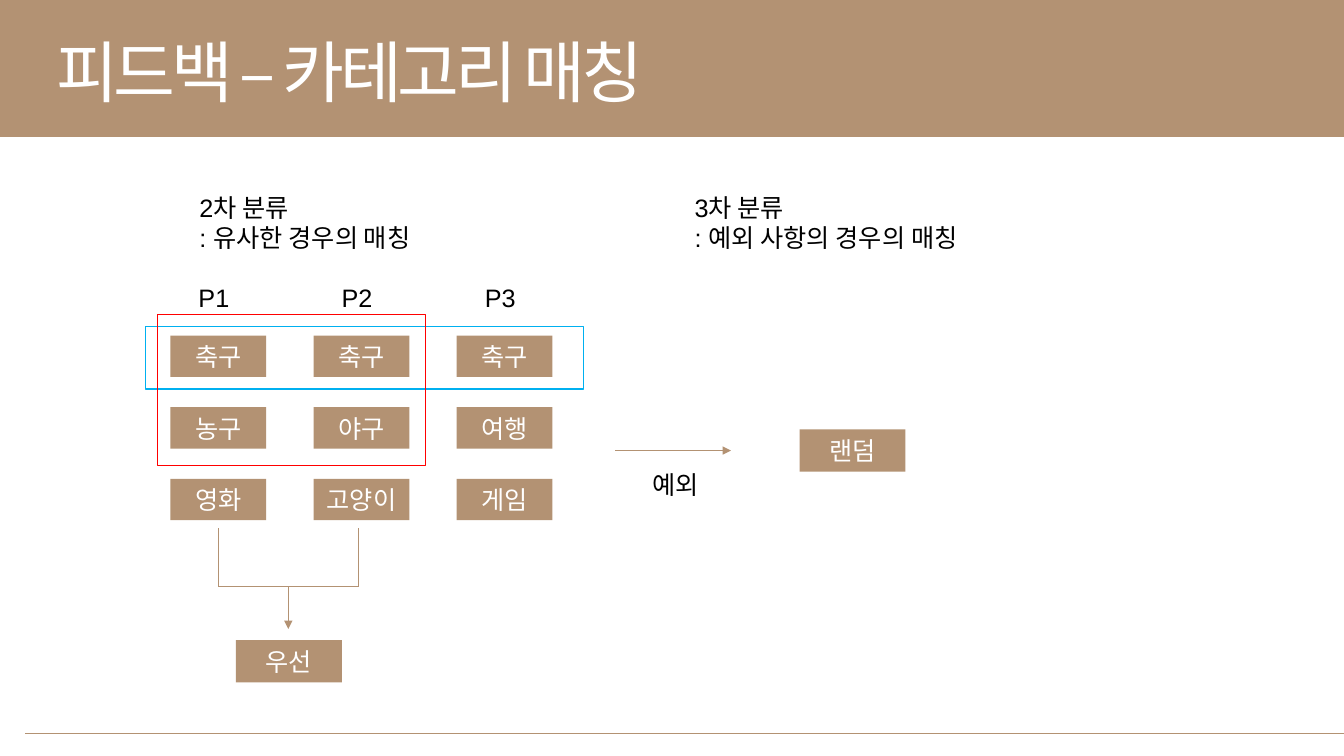
from lxml.etree import SubElement
from pptx import Presentation
from pptx.dml.color import RGBColor
from pptx.enum.shapes import MSO_CONNECTOR, MSO_SHAPE
from pptx.enum.text import MSO_ANCHOR, PP_ALIGN
from pptx.oxml.ns import qn
from pptx.util import Inches, Pt

COLORS = {
    "brown": "B39273",
    "white": "FFFFFF",
    "black": "000000",
    "blue": "00B0F0",
    "red": "FF0000",
}
FONT = "Arial"
INTERESTS = {
    "P1": ["축구", "농구", "영화"],
    "P2": ["축구", "야구", "고양이"],
    "P3": ["축구", "여행", "게임"],
}
GRID_LEFT, GRID_TOP = 1.69, 3.33
COLUMN_STEP, ROW_STEP = 1.42, 0.71


def color(name):
    return RGBColor.from_string(COLORS[name])


def add_span(para, text, size, color_name):
    span = para.add_run()
    span.text = text
    span.font.name = FONT
    span.font.size = Pt(size)
    span.font.color.rgb = color(color_name)
    return span


def add_rectangle(page, left, top, width, height, fill=None, line=None):
    box = page.shapes.add_shape(
        MSO_SHAPE.RECTANGLE, Inches(left), Inches(top), Inches(width), Inches(height)
    )
    box.shadow.inherit = False
    if fill:
        box.fill.solid()
        box.fill.fore_color.rgb = color(fill)
    else:
        box.fill.background()
    if line:
        box.line.color.rgb = color(line)
        box.line.width = Pt(1)
    else:
        box.line.fill.background()
    return box


def add_tag(page, text, left, top, width=0.95, height=0.41):
    box = add_rectangle(page, left, top, width, height, fill="brown")
    frame = box.text_frame
    frame.word_wrap = True
    frame.vertical_anchor = MSO_ANCHOR.MIDDLE
    para = frame.paragraphs[0]
    para.alignment = PP_ALIGN.CENTER
    add_span(para, text, 18, "white")


def add_label(page, lines, left, top, width, height):
    box = page.shapes.add_textbox(
        Inches(left), Inches(top), Inches(width), Inches(height)
    )
    frame = box.text_frame
    frame.word_wrap = True
    for index, text in enumerate(lines):
        para = frame.add_paragraph() if index else frame.paragraphs[0]
        add_span(para, text, 18, "black")


def add_title(page, text):
    box = page.shapes.add_textbox(
        Inches(0.46), Inches(0.25), Inches(6.65), Inches(0.91)
    )
    box.text_frame.word_wrap = False
    span = add_span(box.text_frame.paragraphs[0], text, 48, "white")
    span.font._element.set("spc", "-300")


def add_line(page, start, end, arrow=False):
    line = page.shapes.add_connector(
        MSO_CONNECTOR.STRAIGHT, *(Inches(value) for value in (*start, *end))
    )
    line.line.color.rgb = color("brown")
    line.line.width = Pt(0.5)
    if arrow:
        SubElement(line.line._get_or_add_ln(), qn("a:tailEnd"), type="triangle")
    SubElement(line._element.spPr, qn("a:effectLst"))


def add_interest_grid(page):
    for column, (person, interests) in enumerate(INTERESTS.items()):
        left = GRID_LEFT + column * COLUMN_STEP
        add_label(page, [person], left + 0.18, 2.75, 0.61, 0.4)
        for row, interest in enumerate(interests):
            add_tag(page, interest, left, GRID_TOP + row * ROW_STEP)
    add_rectangle(page, 1.44, 3.24, 4.35, 0.62, line="blue")
    add_rectangle(page, 1.56, 3.12, 2.66, 1.5, line="red")


def add_priority_bracket(page):
    left, right, top, bottom = 2.17, 3.55, 5.24, 5.82
    middle = (left + right) / 2
    for side in (left, right):
        add_line(page, (side, top), (side, bottom))
    add_line(page, (left, bottom), (right, bottom))
    add_line(page, (middle, bottom), (middle, 6.24), arrow=True)
    add_tag(page, "우선", 2.34, 6.35, 1.05, 0.42)


def add_exception_branch(page):
    add_line(page, (6.1, 4.47), (7.25, 4.47), arrow=True)
    add_label(page, ["예외"], 6.37, 4.61, 1.15, 0.41)
    add_tag(page, "랜덤", 7.93, 4.26, 1.05, 0.42)


def main():
    deck = Presentation()
    deck.slide_width = Inches(13.33)
    deck.slide_height = Inches(7.5)
    page = deck.slides.add_slide(deck.slide_layouts[6])
    add_rectangle(page, 0, 0, 13.33, 1.36, fill="brown")
    add_line(page, (0.25, 7.28), (13.33, 7.28))
    add_title(page, "피드백 – 카테고리 매칭")
    add_label(page, ["2차 분류", ": 유사한 경우의 매칭"], 1.88, 1.86, 3.39, 0.71)
    add_label(page, ["3차 분류", ": 예외 사항의 경우의 매칭"], 6.79, 1.86, 3.39, 0.71)
    add_interest_grid(page)
    add_priority_bracket(page)
    add_exception_branch(page)
    deck.save("out.pptx")


if __name__ == "__main__":
    main()
